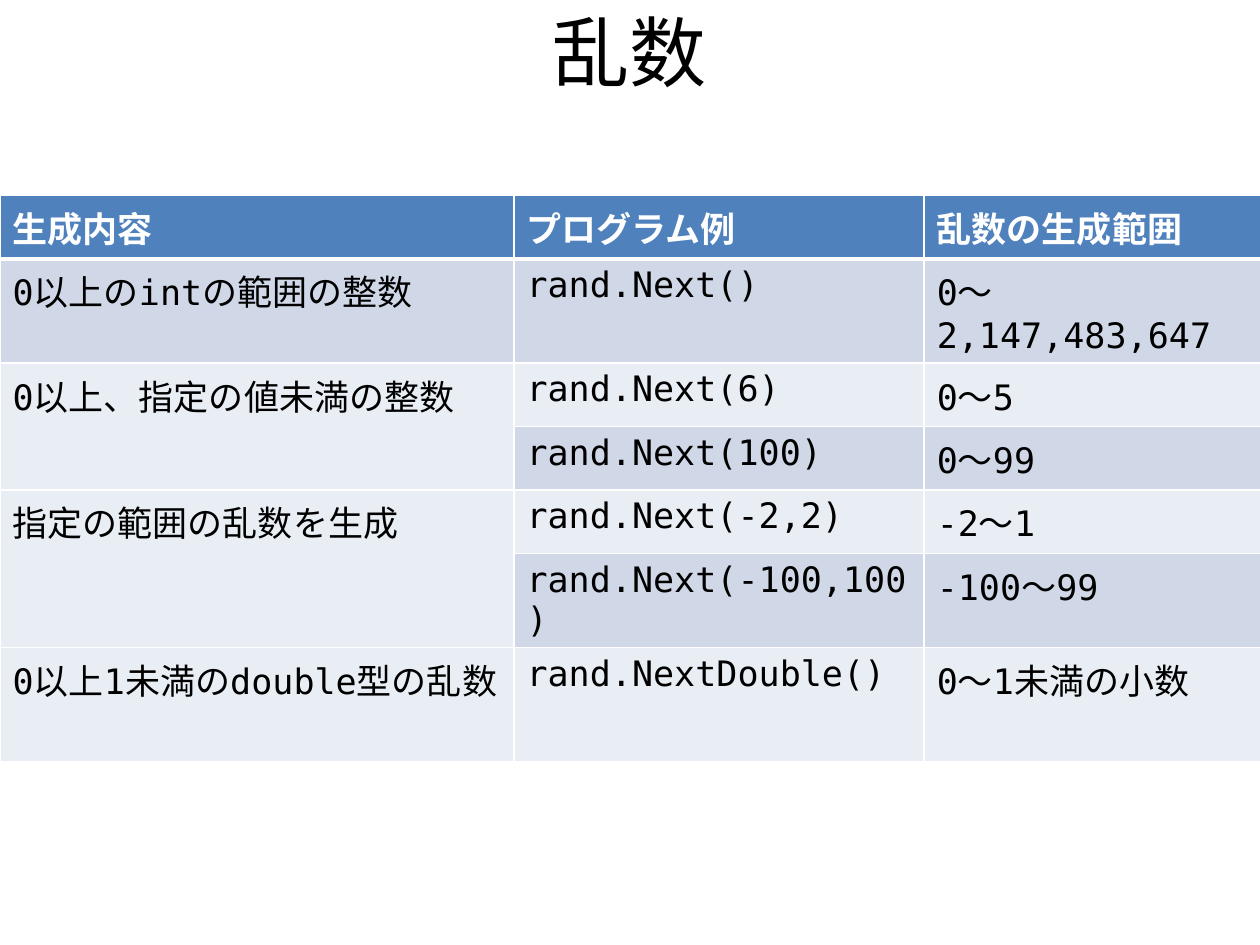
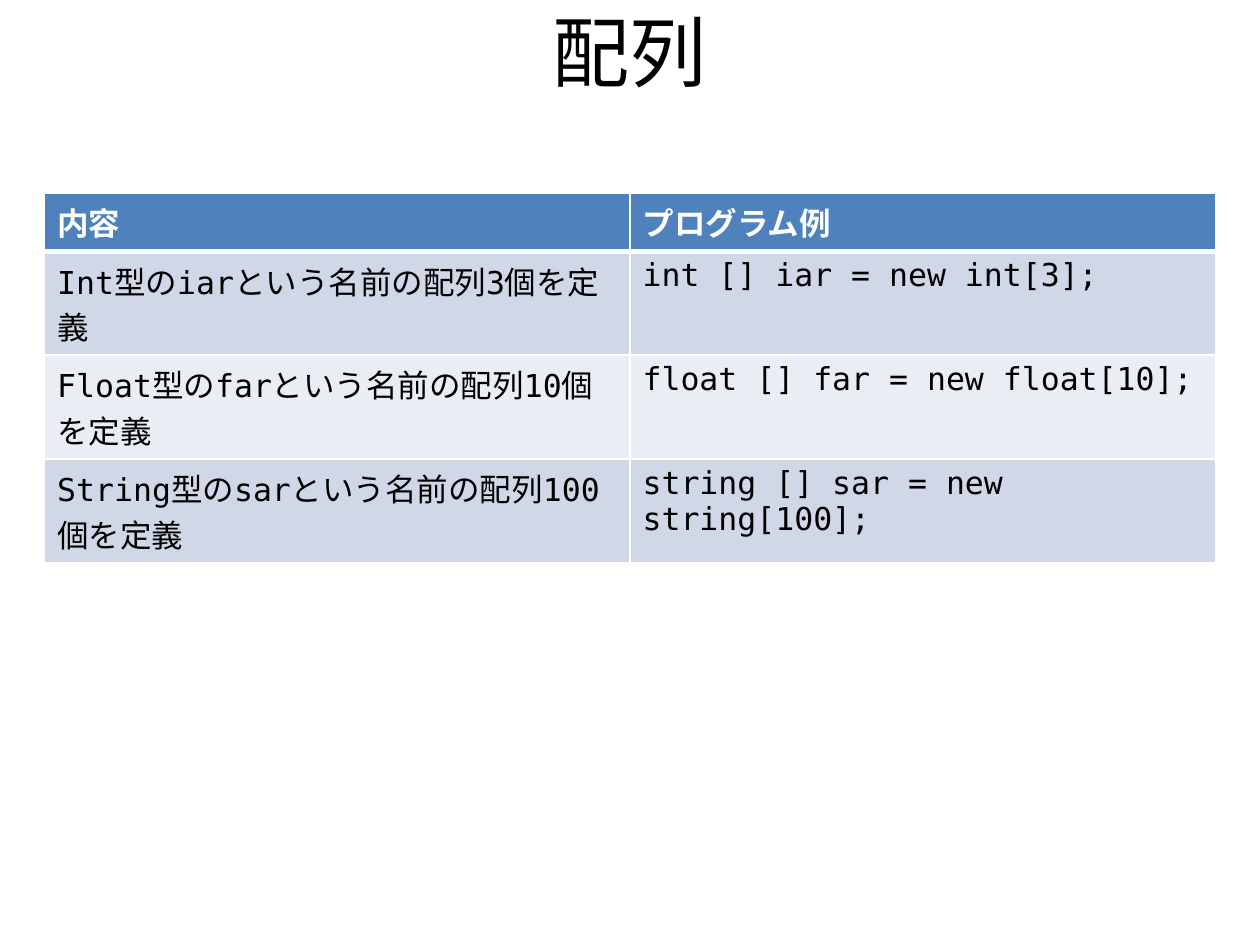
from dataclasses import dataclass

from lxml import etree
from pptx import Presentation
from pptx.dml.color import RGBColor
from pptx.enum.text import MSO_ANCHOR, PP_ALIGN
from pptx.oxml.ns import qn
from pptx.util import Cm, Pt

MIDDLE = MSO_ANCHOR.MIDDLE
CENTER = PP_ALIGN.CENTER
TITLE_ONLY = 5


@dataclass(frozen=True)
class Theme:
    header: str = "4F81BD"
    bands: tuple = ("E9EDF4", "D0D8E8")
    text: str = "000000"
    light: str = "FFFFFF"
    title_font: str = "Calibri"
    code_font: str = "DejaVu Sans Mono"
    title_size: int = 44
    thin: int = 1
    thick: int = 3


THEME = Theme()
TITLE_BOX = {"left": Cm(1.27), "top": Cm(-0.08), "width": Cm(22.86), "height": Cm(2.2)}
ROW_HEIGHT = Cm(1.03)

SLIDES = [
    {
        "title": "乱数",
        "left": 0, "top": 3.94, "columns": (10.36, 8.27, 7.03), "size": 20,
        "rows": [
            ("生成内容", "プログラム例", "乱数の生成範囲"),
            ("0以上のintの範囲の整数", "rand.Next()", "0～2,147,483,647"),
            ("0以上、指定の値未満の整数", "rand.Next(6)", "0～5"),
            (None, "rand.Next(100)", "0～99"),
            ("指定の範囲の乱数を生成", "rand.Next(-2,2)", "-2～1"),
            (None, "rand.Next(-100,100)", "-100～99"),
            ("0以上1未満のdouble型の乱数", "rand.NextDouble()", "0～1未満の小数"),
        ],
    },
    {
        "title": "配列",
        "left": 0.9, "top": 3.89, "columns": (11.8, 11.8), "size": 18,
        "rows": [
            ("内容", "プログラム例"),
            ("Int型のiarという名前の配列3個を定義", "int [] iar = new int[3];"),
            ("Float型のfarという名前の配列10個を定義", "float [] far = new float[10];"),
            ("String型のsarという名前の配列100個を定義", "string [] sar = new string[100];"),
        ],
    },
]


def write(frame, text, color, **font_format):
    para = frame.paragraphs[0]
    span = para.add_run()
    span.text = text
    for name, value in font_format.items():
        setattr(span.font, name, value)
    span.font.color.rgb = RGBColor.from_string(color)
    return para


def add_title(page, text):
    box = page.shapes.title
    for name, value in TITLE_BOX.items():
        setattr(box, name, value)
    box.text_frame.vertical_anchor = MIDDLE
    para = write(box.text_frame, text, THEME.text,
                 name=THEME.title_font, size=Pt(THEME.title_size))
    para.alignment = CENTER


def add_borders(cell, row):
    widths = {"L": THEME.thin, "R": THEME.thin,
              "T": THEME.thick if row == 1 else THEME.thin,
              "B": THEME.thick if row == 0 else THEME.thin}
    properties = cell._tc.get_or_add_tcPr()
    for side, width in widths.items():
        line = etree.SubElement(properties, qn(f"a:ln{side}"), w=str(Pt(width)))
        fill = etree.SubElement(line, qn("a:solidFill"))
        etree.SubElement(fill, qn("a:srgbClr"), val=THEME.light)


def format_cell(cell, row, text, size):
    header = row == 0
    add_borders(cell, row)
    cell.fill.solid()
    cell.fill.fore_color.rgb = RGBColor.from_string(
        THEME.header if header else THEME.bands[row % 2])
    if text is not None:
        write(cell.text_frame, text, THEME.light if header else THEME.text,
              name=THEME.code_font, size=Pt(size), bold=header)


def add_grid(page, content):
    rows, columns = content["rows"], content["columns"]
    table = page.shapes.add_table(
        len(rows), len(columns), Cm(content["left"]), Cm(content["top"]),
        Cm(sum(columns)), ROW_HEIGHT * len(rows)).table
    for column, width in zip(table.columns, columns):
        column.width = Cm(width)
    for r, texts in enumerate(rows):
        for c, text in enumerate(texts):
            format_cell(table.cell(r, c), r, text, content["size"])
            if text is None:
                table.cell(r - 1, c).merge(table.cell(r, c))


deck = Presentation()
deck.slide_width, deck.slide_height = Cm(25.4), Cm(19.05)
for content in SLIDES:
    page = deck.slides.add_slide(deck.slide_layouts[TITLE_ONLY])
    add_title(page, content["title"])
    add_grid(page, content)
deck.save("out.pptx")
